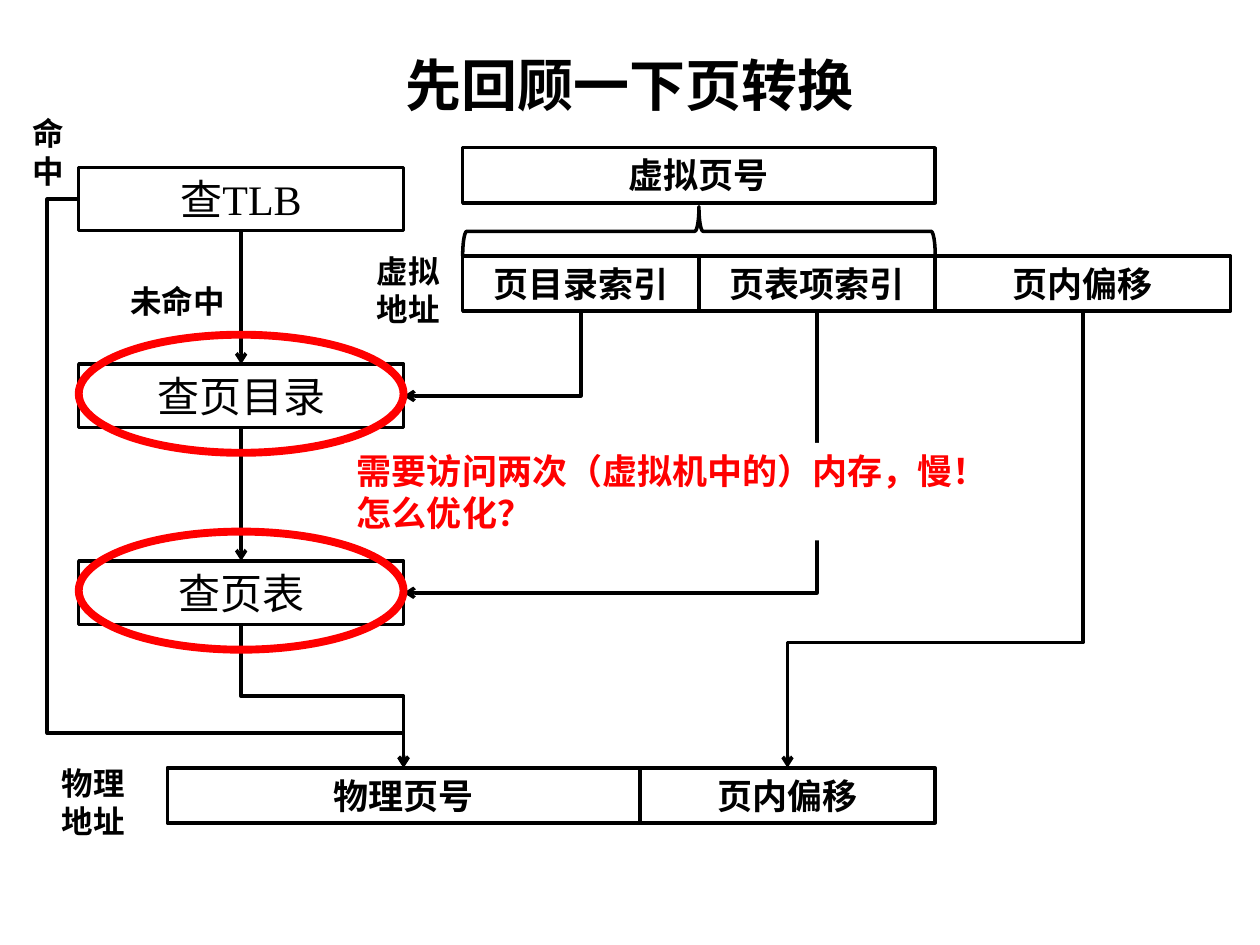
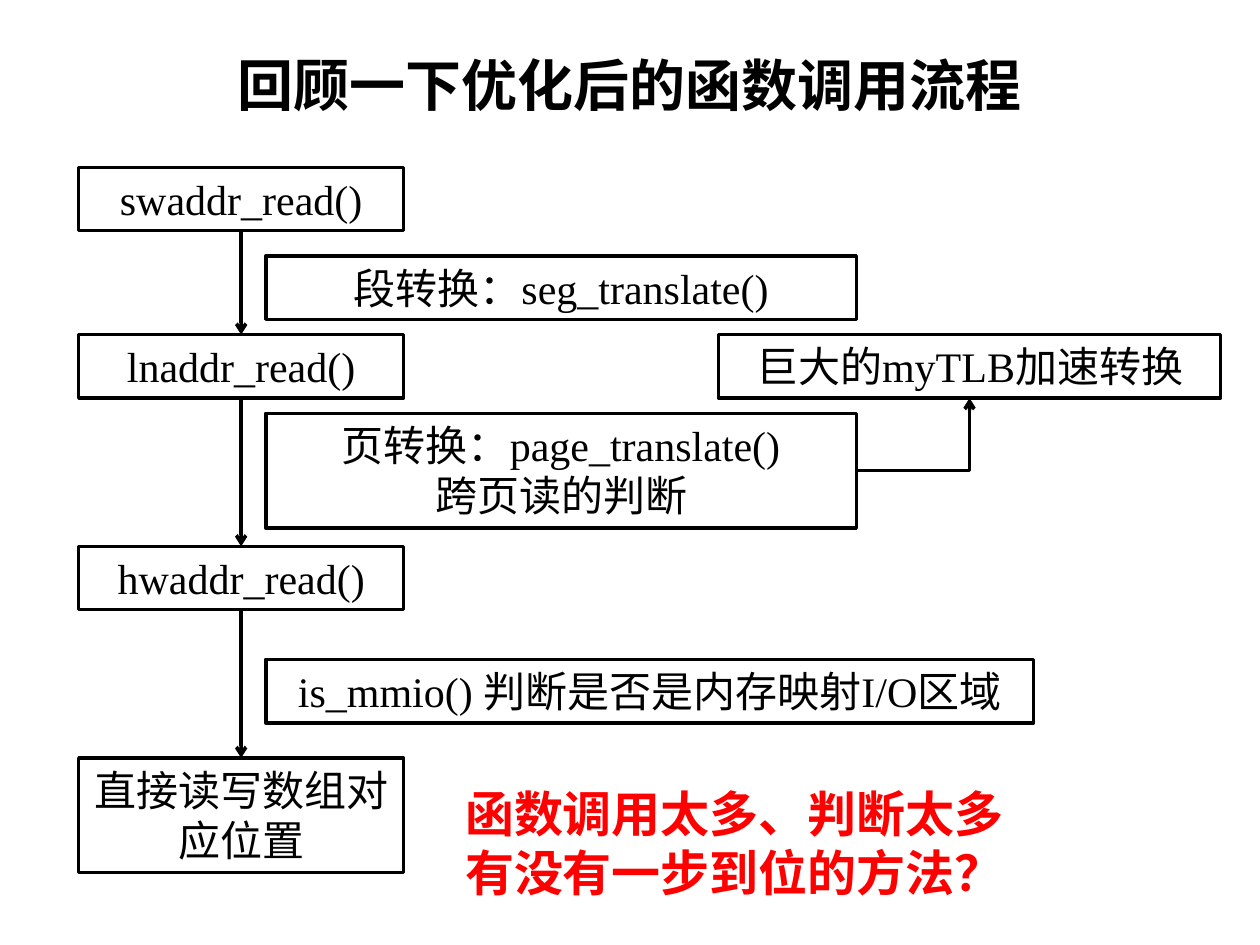
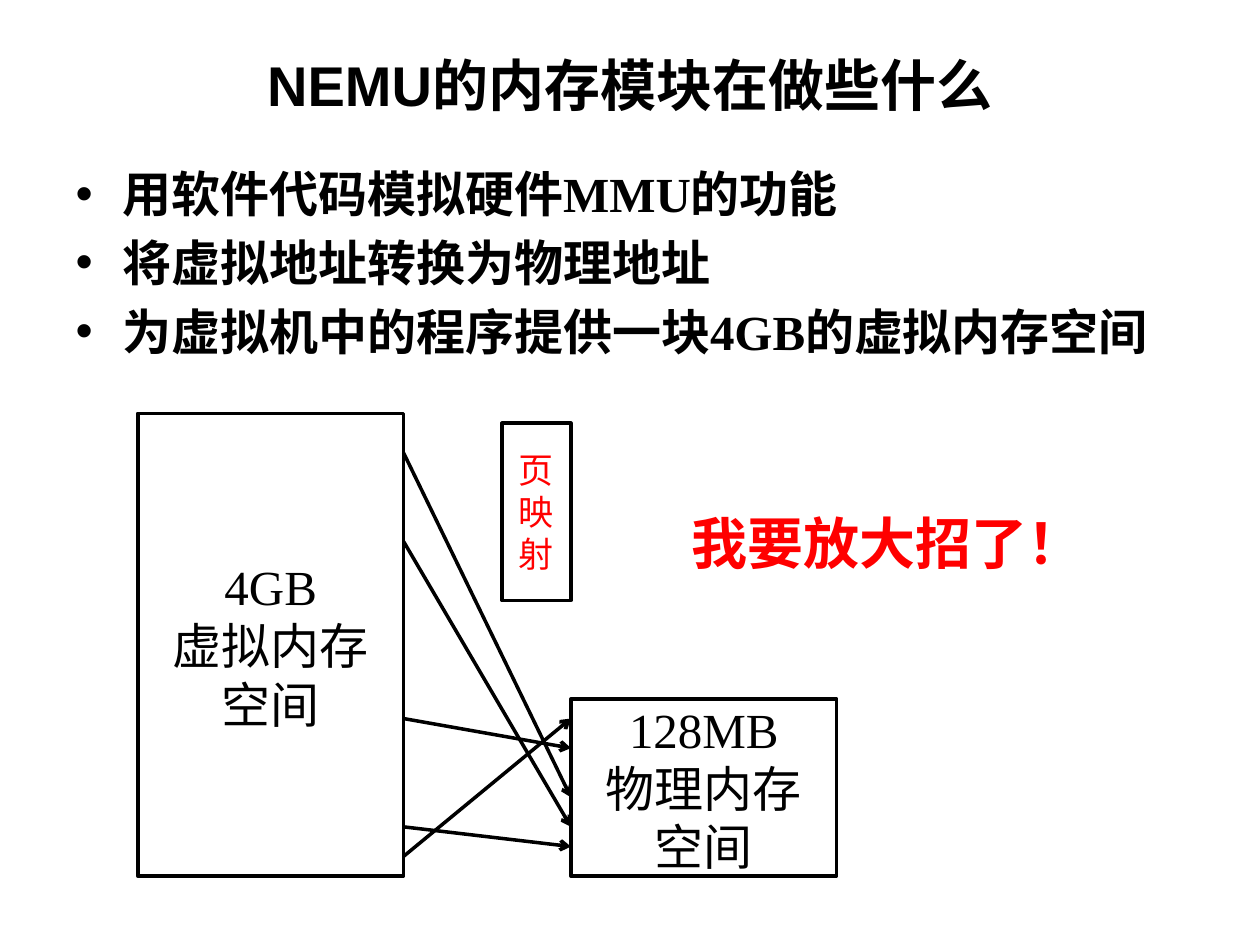
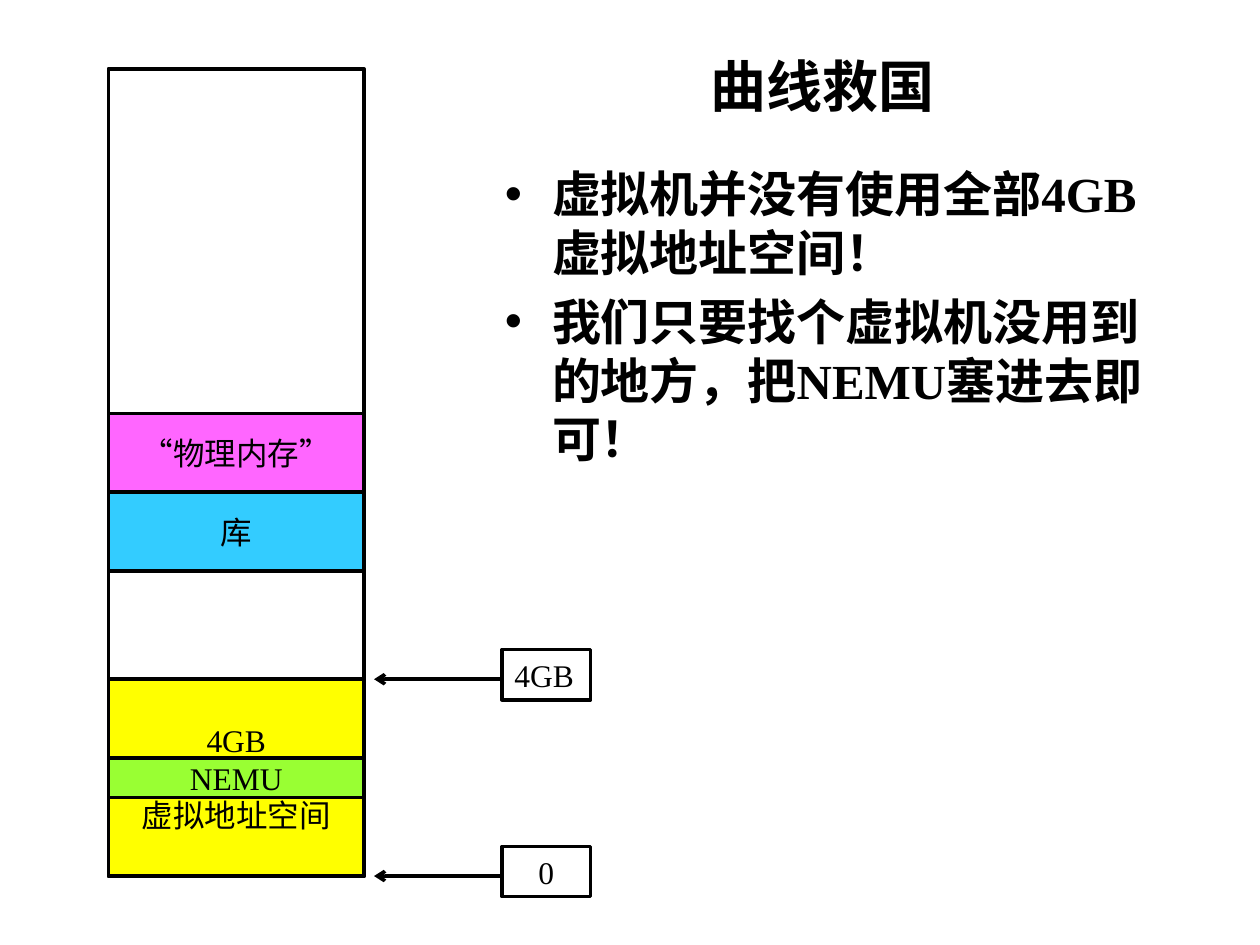
from itertools import pairwise

from lxml import etree
from pptx import Presentation
from pptx.dml.color import RGBColor
from pptx.enum.shapes import MSO_CONNECTOR, MSO_SHAPE
from pptx.enum.text import MSO_ANCHOR, MSO_AUTO_SIZE, PP_ALIGN
from pptx.oxml.ns import qn
from pptx.util import Inches, Pt

RECT, OVAL, BRACE = MSO_SHAPE.RECTANGLE, MSO_SHAPE.OVAL, MSO_SHAPE.LEFT_BRACE
LEFT, MID = PP_ALIGN.LEFT, PP_ALIGN.CENTER
TOP, CORE = MSO_ANCHOR.TOP, MSO_ANCHOR.MIDDLE
GROW = MSO_AUTO_SIZE.SHAPE_TO_FIT_TEXT
LINE = MSO_CONNECTOR.STRAIGHT
color = RGBColor.from_string

BLACK, WHITE, RED = "000000", "FFFFFF", "FF0000"
SERIF, SANS = "Times New Roman", "Arial"
THIN, TALL, DEEP = 5.6, 6.45, 11.65  # box heights in rows

deck = Presentation()
deck.slide_width, deck.slide_height = Inches(10), Inches(7.5)
CELL = deck.slide_width / 128  # square grid: 128 columns, 96 rows


def box(page, at, text="", size=24, bold=False, tone=BLACK, form=RECT,
        fill=None, edge=BLACK, line=2, align=MID, anchor=TOP):
    """Add a shape, or a text box when form is None; at is in grid cells."""
    place = [round(n * CELL) for n in at]
    if form is None:
        shape = page.shapes.add_textbox(*place)
    else:
        shape = page.shapes.add_shape(form, *place)
        shape.shadow.inherit = False
    if fill:
        shape.fill.solid()
        shape.fill.fore_color.rgb = color(fill)
    else:
        shape.fill.background()
    if form is None or not line:
        shape.line.fill.background()
    else:
        shape.line.color.rgb = color(edge)
        shape.line.width = Pt(line)
    if text:
        frame = shape.text_frame
        frame.text = text
        frame.word_wrap = True
        frame.vertical_anchor = anchor
        if anchor == TOP:
            frame.auto_size = GROW
        for para in frame.paragraphs:
            para.alignment = align
            font = para.font
            font.name, font.size, font.bold = SERIF, Pt(size), bold
            font.color.rgb = color(tone)
    return shape


def link(page, start, end, form="line", turn=0, flip="", bends=(), both=False):
    """Add an arrow; a bent form is laid out unturned, then turned and flipped."""
    if form != "line":
        wide, high = (abs(b - a) for a, b in zip(start, end))
        x, y = ((a + b) / 2 for a, b in zip(start, end))
        if turn % 180:
            wide, high = high, wide
        start, end = (x - wide / 2, y - high / 2), (x + wide / 2, y + high / 2)
    wire = page.shapes.add_connector(LINE, *(round(n * CELL) for n in (*start, *end)))
    wire.line.color.rgb = color(BLACK)
    wire.line.width = Pt(2)
    props = wire._element.spPr
    frame, geom = props.find(qn("a:xfrm")), props.find(qn("a:prstGeom"))
    geom.set("prst", form)
    if turn:
        frame.set("rot", str(turn * 60000))
    for axis in flip:
        frame.set("flip" + axis, "1")
    for i, bend in enumerate(bends, 1):
        etree.SubElement(geom.find(qn("a:avLst")), qn("a:gd"),
                         name=f"adj{i}", fmla=f"val {round(bend * 100000)}")
    for tip in ("headEnd", "tailEnd") if both else ("tailEnd",):
        etree.SubElement(props.find(qn("a:ln")), qn("a:" + tip), type="arrow")
    etree.SubElement(props, qn("a:effectLst"))
    return wire


# Titles and bullet lists
wide = (6.4, 3.9, 115.2, 9.2)
plan = [
    ("先回顾一下页转换", wide, None, None),
    ("回顾一下优化后的函数调用流程", wide, None, None),
    ("NEMU的内存模块在做些什么", wide, (6.4, 16, 115.2, 27),
     "用软件代码模拟硬件MMU的功能\n将虚拟地址转换为物理地址\n"
     "为虚拟机中的程序提供一块4GB的虚拟内存空间"),
    ("曲线救国", (26, 4, 115.2, 9.2), (50, 16, 71.6, 69.8),
     "虚拟机并没有使用全部4GB虚拟地址空间！\n"
     "我们只要找个虚拟机没用到的地方，把NEMU塞进去即可！"),
]
pages = []
for title, spot, area, points in plan:
    page = deck.slides.add_slide(deck.slide_layouts[1 if points else 5])
    pages.append(page)
    parts = [(page.shapes.title, spot, title, SANS, 32)]
    if points:
        parts.append((page.placeholders[1], area, points, SERIF, 28))
    for shape, at, text, face, size in parts:
        shape.left, shape.top, shape.width, shape.height = (round(n * CELL) for n in at)
        shape.text_frame.text = text
        for para in shape.text_frame.paragraphs:
            font = para.font
            font.name, font.size, font.bold = face, Pt(size), True
            font.color.rgb = color(BLACK)
paging, calls, memory, trick = pages

# Page translation
for x, y, w, text in [
    (47, 26, 24, "页目录索引"), (71, 26, 24, "页表项索引"), (95, 26, 30, "页内偏移"),
    (47, 15, 48, "虚拟页号"), (17, 78, 48, "物理页号"), (65, 78, 30, "页内偏移"),
]:
    box(paging, (x, y, w, THIN), text, 20, True)
steps = [(17, "查TLB"), (37, "查页目录"), (57, "查页表")]
looks = [box(paging, (8, y, 33, TALL), text) for y, text in steps]
for (a, b), (y, z) in zip(pairwise(looks), pairwise(y for y, _ in steps)):
    wire = link(paging, (24.5, y + TALL), (24.5, z))
    wire.begin_connect(a, 2)
    wire.end_connect(b, 0)
low, half = 26 + THIN, TALL / 2
link(paging, (59, low), (41, 37 + half), "bentConnector2", 90)
link(paging, (83, low), (41, 57 + half), "bentConnector2", 90)
box(paging, (68.5, -0.5, 5, 48), form=BRACE).rotation = 90
link(paging, (24.5, 57 + TALL), (41, 78), "bentConnector3", 270, "H", [0.5])
link(paging, (110, low), (80, 78), "bentConnector3", 90, "", [0.726])
link(paging, (8, 17 + half), (41, 78), "bentConnector4", 180, "HV", [-0.097, 0.939])
for x, y, w, h, text in [
    (37, 25, 10, 9.1, "虚拟地址"), (5, 77, 10, 9.1, "物理地址"),
    (12, 28, 14, 5.1, "未命中"), (2, 11, 14, 9.1, "命\n中"),
]:
    box(paging, (x, y, w, h), text, 18, True, form=None, align=LEFT)
for y in (34, 54):
    box(paging, (8, y, 33, 12), form=OVAL, edge=RED, line=4.5)
box(paging, (35, 45, 70, 9.9), "需要访问两次（虚拟机中的）内存，慢！\n怎么优化？",
    20, True, RED, fill=WHITE, line=0, align=LEFT)

# Call flow
stages = [
    (17, TALL, "swaddr_read()"), (34, TALL, "lnaddr_read()"),
    (55.5, TALL, "hwaddr_read()"), (77, DEEP, "直接读写数组对应位置"),
]
reads = [box(calls, (8, y, 33, h), text) for y, h, text in stages]
for (a, b), (top, low) in zip(pairwise(reads), pairwise(stages)):
    wire = link(calls, (24.5, top[0] + top[1]), (24.5, low[0]))
    wire.begin_connect(a, 2)
    wire.end_connect(b, 0)
for x, y, w, h, text in [
    (27, 26, 60, TALL, "段转换：seg_translate()"),
    (27, 42, 60, DEEP, "页转换：page_translate()\n跨页读的判断"),
    (73, 34, 51, TALL, "巨大的myTLB加速转换"),
    (27, 67, 78, TALL, "is_mmio() 判断是否是内存映射I/O区域"),
]:
    box(calls, (x, y, w, h), text)
link(calls, (87, 42 + DEEP / 2), (98.5, 34 + TALL), "bentConnector2", 0, "V")
box(calls, (46, 79, 68, 13.3), "函数调用太多、判断太多\n有没有一步到位的方法？",
    28, True, RED, form=None, align=LEFT)

# Memory mapping
box(memory, (14, 42, 27, 47), "4GB\n虚拟内存\n空间", 28, anchor=CORE)
box(memory, (58, 71, 27, 18), "128MB\n物理内存\n空间", 28, anchor=CORE)
for y, z in [(55, 84), (84, 86), (73, 76), (87, 73), (46, 81)]:
    link(memory, (41, y), (58, z))
box(memory, (51, 43, 7, 18), "页映射", 20, tone=RED, anchor=CORE)
box(memory, (69, 51, 46, 8.2), "我要放大招了！", 32, True, RED, form=None, align=LEFT)

# Address space
space = box(trick, (11, 69, 26, 20), "4GB\n虚拟地址空间", 18, fill="FFFF00", anchor=CORE)
space.text_frame.paragraphs[1].space_before = Pt(21)
box(trick, (11, 7, 26, 82))
for y, h, text, fill in [
    (77, 4, "NEMU", "99FF33"), (50, 8, "库", "33CCFF"), (42, 8, "“物理内存”", "FF66FF"),
]:
    box(trick, (11, y, 26, h), text, 18, fill=fill, anchor=CORE)
for y, text, align in [(69, "4GB", LEFT), (89, "0", MID)]:
    link(trick, (56, y), (38, y), both=True)
    box(trick, (51, y - 3, 9, 5.1), text, 18, fill=WHITE, align=align)

deck.save("out.pptx")
